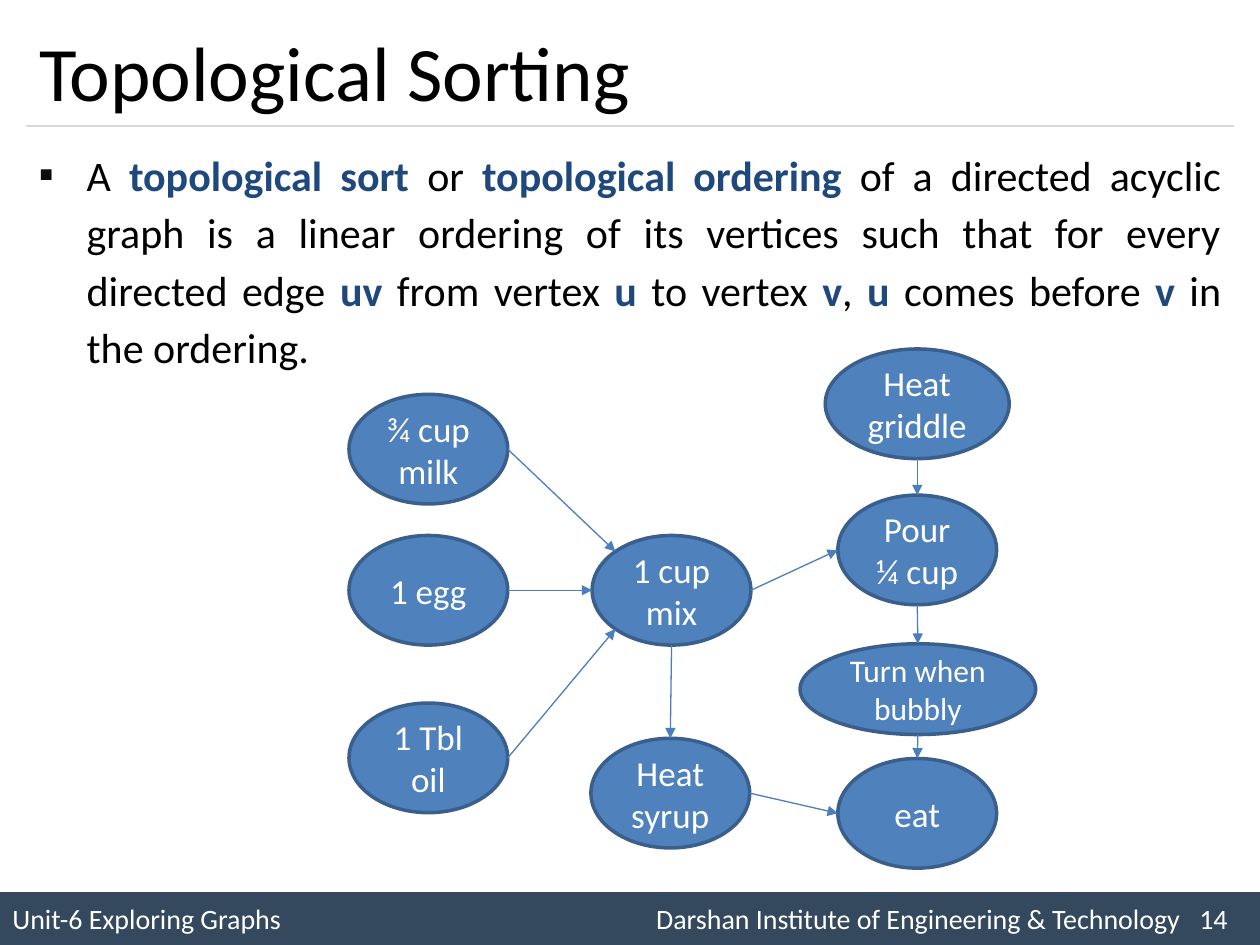
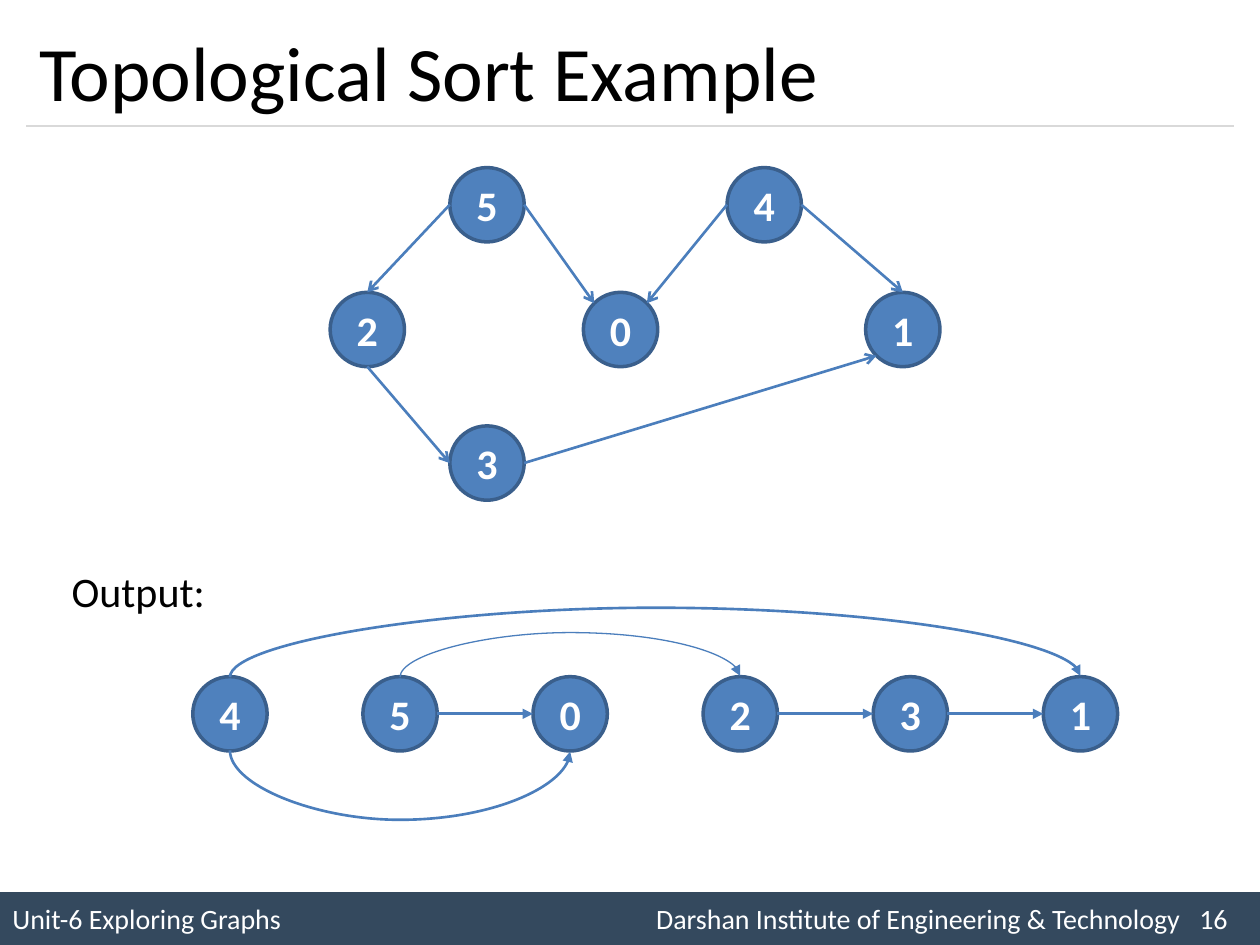
"""Build two slides on topological sorting: its definition and a worked example."""
from dataclasses import dataclass
from math import cos, radians, sin

from lxml import etree
from pptx import Presentation, util as u
from pptx.dml.color import RGBColor
from pptx.enum import shapes, text
from pptx.oxml.ns import qn


@dataclass(frozen=True)
class Theme:
    font: str = "Calibri"
    black: str = "000000"
    white: str = "FFFFFF"
    band: str = "34495E"
    rule: str = "D9D9D9"
    bullet: str = "0D0D0D"
    term: str = "1F497D"
    node: str = "4F81BD"
    node_edge: str = "3A5F8C"
    arrow: str = "4B7EBC"
    title_size: int = 44
    body_size: int = 24
    node_size: int = 20
    small_size: int = 18
    footer_size: int = 16


theme = Theme()
SITES = ["top", "top left", "left", "bottom left", "bottom", "bottom right", "right", "top right"]


def write(para, words, size, color, bold=False):
    """Add a formatted run to a paragraph."""
    span = para.add_run()
    span.text = words
    for name, value in {"name": theme.font, "size": u.Pt(size), "bold": bold}.items():
        setattr(span.font, name, value)
    span.font.color.rgb = RGBColor.from_string(color)


def draw_line(page, kind, ends, color, width, head=None):
    """Draw a connector between two points, with an optional arrowhead."""
    line = page.shapes.add_connector(kind, *[u.Inches(value) for value in ends])
    line.line.color.rgb = RGBColor.from_string(color)
    line.line.width = u.Pt(width)
    properties = line.element.spPr
    if head:
        etree.SubElement(properties.find(qn("a:ln")), qn("a:tailEnd"), type=head)
    etree.SubElement(properties, qn("a:effectLst"))
    return line


cup = (1.26, 0.87)
recipe_nodes = {
    "mix": ("1 cup mix", 4.7, 4.25, *cup, theme.node_size, False),
    "milk": ("¾ cup milk", 2.77, 3.13, *cup, theme.node_size, False),
    "egg": ("1 egg", 2.77, 4.25, *cup, theme.node_size, False),
    "oil": ("1 Tbl oil", 2.77, 5.58, *cup, theme.node_size, False),
    "griddle": ("Heat griddle", 6.55, 2.77, 1.46, 0.87, theme.node_size, False),
    "pour": ("Pour ¼ cup", 6.65, 3.93, *cup, theme.node_size, False),
    "turn": ("Turn when bubbly", 6.35, 5.11, 1.87, 0.72, theme.small_size, False),
    "eat": ("eat", 6.65, 6.02, *cup, theme.node_size, False),
    "syrup": ("Heat syrup", 4.69, 5.86, *cup, theme.node_size, False),
}
recipe_links = [
    ("milk", "right", "mix", "top left"),
    ("egg", "right", "mix", "left"),
    ("oil", "right", "mix", "bottom left"),
    ("mix", "bottom", "syrup", "top"),
    ("griddle", "bottom", "pour", "top"),
    ("pour", "bottom", "turn", "top"),
    ("turn", "bottom", "eat", "top"),
    ("syrup", "right", "eat", "left"),
    ("mix", "right", "pour", "left"),
]

circle = (0.59, 0.59, theme.body_size, True)
graph_places = {"2": (2.62, 2.32), "5": (3.57, 1.33), "3": (3.57, 3.38),
                "0": (4.63, 2.32), "4": (5.77, 1.33), "1": (6.87, 2.32)}
sort_nodes = {digit: (digit, *place, *circle) for digit, place in graph_places.items()}
for index, digit in enumerate("450231"):
    sort_nodes["sorted " + digit] = (digit, 1.53 + 1.35 * index, 5.37, *circle)
graph_links = [
    ("5", "left", "2", "top"),
    ("5", "right", "0", "top left"),
    ("2", "bottom", "3", "left"),
    ("3", "right", "1", "bottom left"),
    ("4", "left", "0", "top right"),
    ("4", "right", "1", "top"),
]
sorted_links = [("sorted " + start, "right", "sorted " + end, "left")
                for start, end in ("50", "23", "31")]

lessons = [
    ("Topological Sorting", "14", recipe_nodes, [(0.75, "triangle", recipe_links)]),
    ("Topological Sort Example", "16", sort_nodes,
     [(1.5, "arrow", graph_links), (1.5, "triangle", sorted_links)]),
]

deck = Presentation()
deck.slide_width, deck.slide_height = u.Inches(10), u.Inches(7.5)
pages = []

for heading, number, nodes, link_groups in lessons:
    page = deck.slides.add_slide(deck.slide_layouts[5])
    pages.append(page)

    band = page.shapes.add_shape(shapes.MSO_SHAPE.RECTANGLE, 0, u.Inches(7.08), u.Inches(10), u.Inches(0.42))
    band.shadow.inherit = False
    band.fill.solid()
    band.fill.fore_color.rgb = RGBColor.from_string(theme.band)
    band.line.fill.background()
    para = band.text_frame.paragraphs[0]
    para.alignment = text.PP_ALIGN.LEFT
    tabs = etree.SubElement(para._p.get_or_add_pPr(), qn("a:tabLst"))
    for stop in (5.11, 9.42):
        etree.SubElement(tabs, qn("a:tab"), pos=str(u.Inches(stop)), algn="l")
    footer = ["Unit-6 Exploring Graphs", "Darshan Institute of Engineering & Technology", number]
    write(para, "\t".join(footer), theme.footer_size, theme.white)

    draw_line(page, shapes.MSO_CONNECTOR.STRAIGHT, (0.21, 1, 9.79, 1), theme.rule, 0.75)

    title = page.shapes.title
    for name, value in {"left": 0.21, "top": 0.12, "width": 9.58, "height": 0.88}.items():
        setattr(title, name, u.Inches(value))
    title.text_frame.vertical_anchor = text.MSO_ANCHOR.MIDDLE
    para = title.text_frame.paragraphs[0]
    para.alignment = text.PP_ALIGN.LEFT
    write(para, heading, theme.title_size, theme.black)

    ovals = {}
    for key, (label, left, top, width, height, size, bold) in nodes.items():
        oval = page.shapes.add_shape(
            shapes.MSO_SHAPE.OVAL, *[u.Inches(value) for value in (left, top, width, height)])
        oval.shadow.inherit = False
        oval.fill.solid()
        oval.fill.fore_color.rgb = RGBColor.from_string(theme.node)
        oval.line.color.rgb = RGBColor.from_string(theme.node_edge)
        oval.line.width = u.Pt(2)
        para = oval.text_frame.paragraphs[0]
        para.alignment = text.PP_ALIGN.CENTER
        write(para, label, size, theme.white, bold)
        ovals[key] = oval

    for line_width, head, links in link_groups:
        for start, start_site, end, end_site in links:
            ends = []
            for key, site in ((start, start_site), (end, end_site)):
                _, left, top, width, height, *_ = nodes[key]
                angle = radians(90 + 45 * SITES.index(site))
                ends += [left + width / 2 * (1 + cos(angle)), top + height / 2 * (1 - sin(angle))]
            link = draw_line(page, shapes.MSO_CONNECTOR.STRAIGHT, ends, theme.arrow, line_width, head)
            joints = link.element.nvCxnSpPr.cNvCxnSpPr
            for tag, key, site in (("a:stCxn", start, start_site), ("a:endCxn", end, end_site)):
                etree.SubElement(joints, qn(tag), id=str(ovals[key].shape_id), idx=str(SITES.index(site)))

recipe_page, sort_page = pages

box = recipe_page.shapes.add_textbox(u.Inches(0.21), u.Inches(1.08), u.Inches(9.58), u.Inches(2))
box.text_frame.word_wrap = True
para = box.text_frame.paragraphs[0]
layout = para._p.get_or_add_pPr()
layout.set("marL", str(u.Inches(0.38)))
layout.set("indent", str(u.Inches(-0.38)))
bullet_color = etree.SubElement(layout, qn("a:buClr"))
etree.SubElement(bullet_color, qn("a:srgbClr"), val=theme.bullet)
etree.SubElement(layout, qn("a:buFont"), typeface=theme.font)
etree.SubElement(layout, qn("a:buChar"), char="▪")
para.alignment = text.PP_ALIGN.JUSTIFY
para.line_spacing = 1.14
definition = [
    "A ", "topological sort ", "or ", "topological ordering",
    " of a directed acyclic graph is a linear ordering of its vertices"
    " such that for every directed edge ",
    "uv", " from vertex ", "u", " to vertex ", "v", ", ", "u", " comes before ", "v", " in the ordering.",
]
for index, words in enumerate(definition):
    is_term = index % 2 == 1
    write(para, words, theme.body_size, theme.term if is_term else theme.black, is_term)

box = sort_page.shapes.add_textbox(u.Inches(0.47), u.Inches(4.44), u.Inches(1.35), u.Inches(0.5))
box.text_frame.word_wrap = True
write(box.text_frame.paragraphs[0], "Output:", theme.body_size, theme.black)

thickness = 0.01
for start, end, above, bulge, line_width in (
        ("4", "1", True, 0.56, 1.5), ("4", "0", False, 0.56, 1.5), ("5", "2", True, 0.36, 0.75)):
    _, start_left, top, diameter, *_ = sort_nodes["sorted " + start]
    end_left = sort_nodes["sorted " + end][1]
    span_width = end_left - start_left
    middle_x = (start_left + end_left + diameter) / 2
    middle_y = top if above else top + diameter
    left, right = middle_x - thickness / 2, middle_x + thickness / 2
    high, low = middle_y - span_width / 2, middle_y + span_width / 2
    ends = (right, low, left, high) if above else (right, high, left, low)
    curve = draw_line(sort_page, shapes.MSO_CONNECTOR.CURVE, ends, theme.arrow, line_width, "triangle")
    curve.element.spPr.xfrm.set("rot", str((90 if above else 270) * 60000))
    geometry = curve.element.spPr.find(qn("a:prstGeom"))
    guides = geometry.find(qn("a:avLst"))
    etree.SubElement(guides, qn("a:gd"), name="adj1", fmla=f"val {round(bulge / thickness * 100000)}")

deck.save("out.pptx")
